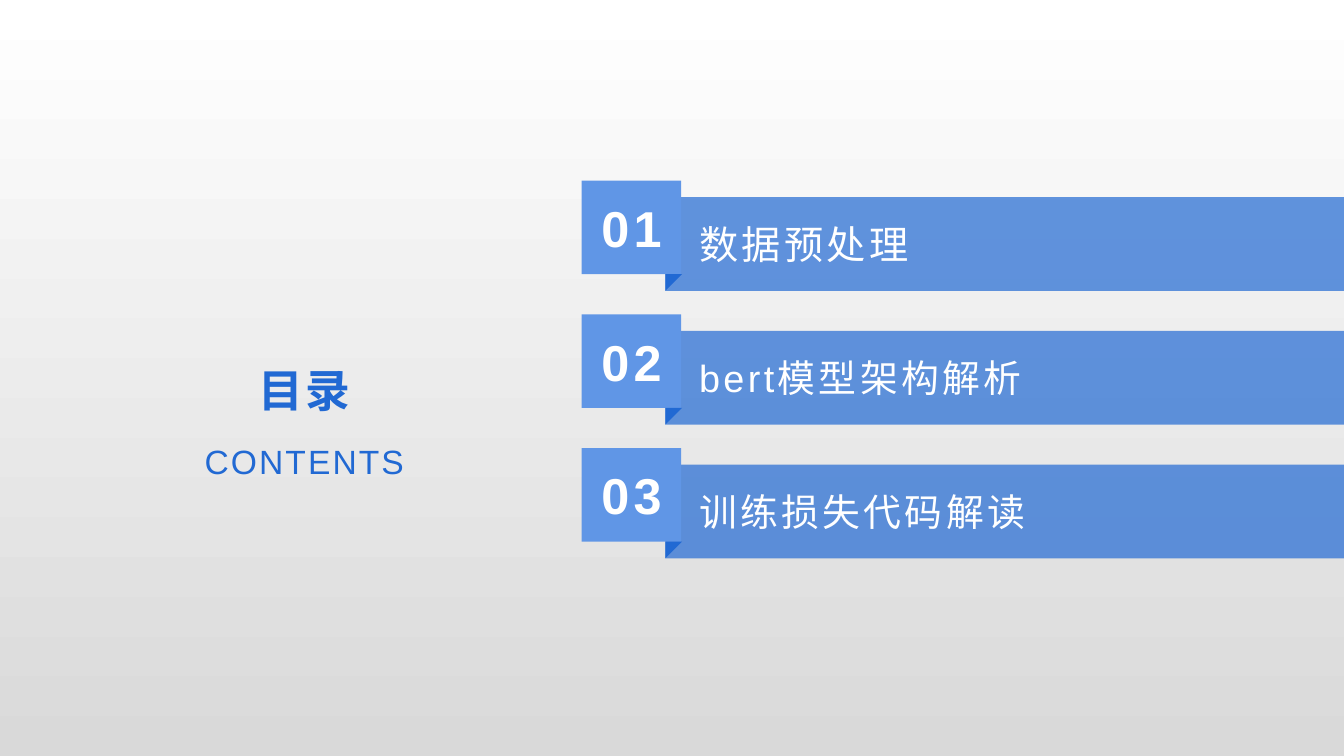
from pptx import Presentation
from pptx.dml.color import RGBColor
from pptx.enum.shapes import MSO_SHAPE
from pptx.enum.text import MSO_ANCHOR, PP_ALIGN
from pptx.oxml.ns import qn
from pptx.util import Cm, Pt
from lxml.etree import SubElement

BLUE, LIGHT_BLUE, WHITE = "2169D3", "6096E6", "FFFFFF"

deck = Presentation()
deck.slide_width, deck.slide_height = Cm(33.87), Cm(19.05)
slide = deck.slides.add_slide(deck.slide_layouts[6])

backdrop = slide.background.fill
backdrop.gradient()
backdrop.gradient_angle = 270
for stop, shade in zip(backdrop.gradient_stops, (WHITE, "D9D9D9")):
    stop.color.rgb = RGBColor.from_string(shade)


def add_block(kind, left, top, width, height, color):
    block = slide.shapes.add_shape(kind, Cm(left), Cm(top), Cm(width), Cm(height))
    block.shadow.inherit = False
    block.fill.solid()
    block.fill.fore_color.rgb = RGBColor.from_string(color)
    block.line.fill.background()
    return block


def add_label(text, left, top, width, height, size, color, spacing,
              bold=False, align=PP_ALIGN.CENTER, anchor=MSO_ANCHOR.MIDDLE):
    frame = slide.shapes.add_textbox(Cm(left), Cm(top), Cm(width), Cm(height)).text_frame
    frame.word_wrap = True
    frame.vertical_anchor = anchor
    frame.text = text
    paragraph = frame.paragraphs[0]
    paragraph.alignment = align
    font = paragraph.runs[0].font
    font.name, font.size, font.bold = "Arial", Pt(size), bold
    font.color.rgb = RGBColor.from_string(color)
    font._element.set("spc", str(round(spacing * 100)))
    return frame


add_label("目录", 3.78, 6.7, 7.78, 3.91, 32, BLUE, 1.6, bold=True, anchor=MSO_ANCHOR.BOTTOM)
contents = add_label("CONTENTS", 3.78, 10.6, 7.78, 1.75, 24, BLUE, 1.5)
contents.paragraphs[0].line_spacing = 1.3

chapters = [("数据预处理", 28), ("bert模型架构解析", 27), ("训练损失代码解读", 27)]
for index, (chapter, size) in enumerate(chapters):
    top = 4.55 + 3.37 * index
    banner = add_block(MSO_SHAPE.RECTANGLE, 16.77, top + 0.42, 17.1, 2.36, BLUE)
    banner_color = banner.fill._xPr.find(qn("a:solidFill"))[0]
    SubElement(banner_color, qn("a:alpha")).set("val", "70000")
    add_block(MSO_SHAPE.RECTANGLE, 14.66, top, 2.51, 2.36, LIGHT_BLUE)
    fold = add_block(MSO_SHAPE.RIGHT_TRIANGLE, 16.77, top + 2.36, 0.42, 0.42, BLUE)
    fold._element.spPr.find(qn("a:xfrm")).set("flipV", "1")
    number = add_label(f"{index + 1:02}", 14.86, top + 0.25, 2.11, 1.86, 36, WHITE, 3, bold=True)
    number.margin_left = number.margin_right = number.margin_top = number.margin_bottom = 0
    add_label(chapter, 17.37, top + 0.6, 16.5, 2, size, WHITE, 2.4, align=PP_ALIGN.LEFT)

deck.save("out.pptx")
